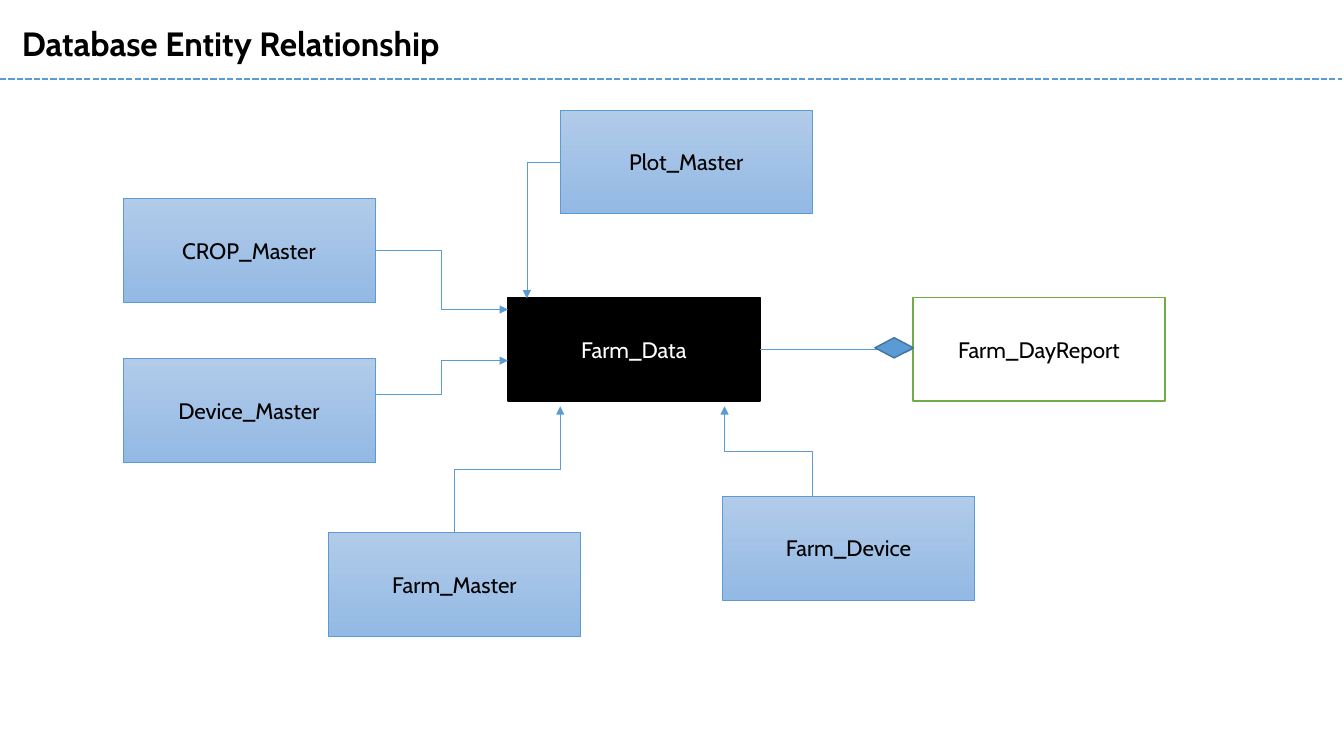
from lxml import etree
from pptx import Presentation
from pptx.dml.color import RGBColor
from pptx.enum.dml import MSO_LINE
from pptx.enum.shapes import MSO_CONNECTOR, MSO_SHAPE
from pptx.enum.text import MSO_ANCHOR, MSO_AUTO_SIZE, PP_ALIGN
from pptx.oxml.ns import qn
from pptx.util import Cm, Pt

STRAIGHT, ELBOW = MSO_CONNECTOR.STRAIGHT, MSO_CONNECTOR.ELBOW
RECTANGLE, DIAMOND = MSO_SHAPE.RECTANGLE, MSO_SHAPE.DIAMOND
MIDDLE, CENTER = MSO_ANCHOR.MIDDLE, PP_ALIGN.CENTER
GROW, DASHED = MSO_AUTO_SIZE.SHAPE_TO_FIT_TEXT, MSO_LINE.SQUARE_DOT

COLORS = {
    "black": "000000",
    "white": "FFFFFF",
    "blue": "5B9BD5",
    "dark_blue": "43739E",
    "green": "70AD47",
    "pale_top": "B1CBE9",
    "pale_bottom": "93B9E4",
}
ENTITY_WIDTH, ENTITY_HEIGHT = 6.35, 2.62
ENTITY_FONT = {"name": "Cabin", "size": Pt(16)}
TITLE_FONT = {"name": "Cabin", "size": Pt(24), "bold": True}

MASTER_STYLE = (("pale_top", "pale_bottom"), "blue", 0.5, "black")
DATA_STYLE = (("black",), "black", 1, "white")
REPORT_STYLE = (("white",), "green", 1, "black")

ENTITIES = [
    ("CROP_Master", 3.1, 5, MASTER_STYLE),
    ("Device_Master", 3.1, 9.04, MASTER_STYLE),
    ("Farm_Data", 12.8, 7.49, DATA_STYLE),
    ("Farm_Master", 8.28, 13.41, MASTER_STYLE),
    ("Farm_Device", 18.21, 12.5, MASTER_STYLE),
    ("Farm_DayReport", 23.01, 7.49, REPORT_STYLE),
    ("Plot_Master", 14.12, 2.77, MASTER_STYLE),
]
SIDE_LINKS = [
    ((9.45, 6.31), (12.8, 7.8)),
    ((9.45, 9.93), (12.8, 9.09)),
]
UPWARD_LINKS = [
    ((11.46, 13.41), (14.12, 10.24)),
    ((20.47, 12.5), (18.26, 10.24)),
]


def rgb(color):
    return RGBColor.from_string(COLORS[color])


def write(frame, text, font_values, color):
    run = frame.paragraphs[0].add_run()
    run.text = text
    for attribute, value in font_values.items():
        setattr(run.font, attribute, value)
    run.font.color.rgb = rgb(color)


def add_block(slide, kind, box, fills, outline, weight):
    block = slide.shapes.add_shape(kind, *map(Cm, box))
    block.shadow.inherit = False
    if len(fills) == 1:
        block.fill.solid()
        block.fill.fore_color.rgb = rgb(fills[0])
    else:
        block.fill.gradient()
        block.fill.gradient_angle = 270
        for stop, color in zip(block.fill.gradient_stops, fills):
            stop.color.rgb = rgb(color)
    block.line.color.rgb = rgb(outline)
    block.line.width = Pt(weight)
    return block


def add_entity(slide, name, left, top, style):
    fills, outline, weight, text_color = style
    box = (left, top, ENTITY_WIDTH, ENTITY_HEIGHT)
    entity = add_block(slide, RECTANGLE, box, fills, outline, weight)
    entity.text_frame.vertical_anchor = MIDDLE
    write(entity.text_frame, name, ENTITY_FONT, text_color)
    entity.text_frame.paragraphs[0].alignment = CENTER


def add_line(slide, kind, start, end, weight=0.5):
    line = slide.shapes.add_connector(kind, *map(Cm, start + end))
    line.line.color.rgb = rgb("blue")
    line.line.width = Pt(weight)
    etree.SubElement(line._element.spPr, qn("a:effectLst"))
    return line


def add_arrow(slide, kind, start, end):
    arrow = add_line(slide, kind, start, end)
    outline = arrow._element.spPr.find(qn("a:ln"))
    etree.SubElement(outline, qn("a:tailEnd"), type="triangle")
    return arrow


def add_corner_arrow(slide, start, end):
    arrow = add_arrow(slide, ELBOW, start, end)
    arrow._element.spPr.find(qn("a:prstGeom")).set("prst", "bentConnector2")


def add_upward_arrow(slide, start, end):
    (x1, y1), (x2, y2) = start, end
    middle_x, middle_y = (x1 + x2) / 2, (y1 + y2) / 2
    half_rise, half_shift = (y1 - y2) / 2, (x2 - x1) / 2
    arrow = add_arrow(
        slide,
        ELBOW,
        (middle_x - half_rise, middle_y - half_shift),
        (middle_x + half_rise, middle_y + half_shift),
    )
    arrow._element.spPr.find(qn("a:xfrm")).set("rot", str(270 * 60000))


def add_title(slide, text):
    title = slide.shapes.add_textbox(Cm(0.3), Cm(0.46), Cm(17.55), Cm(1.27))
    title.text_frame.word_wrap = True
    title.text_frame.auto_size = GROW
    write(title.text_frame, text, TITLE_FONT, "black")
    rule = add_line(slide, STRAIGHT, (0, 1.98), (33.81, 1.98), 1.5)
    rule.line.dash_style = DASHED


def main():
    deck = Presentation()
    deck.slide_width, deck.slide_height = Cm(33.87), Cm(19.05)
    slide = deck.slides.add_slide(deck.slide_layouts[6])
    for entity in ENTITIES:
        add_entity(slide, *entity)
    add_corner_arrow(slide, (14.12, 4.09), (13.28, 7.52))
    for start, end in SIDE_LINKS:
        add_arrow(slide, ELBOW, start, end)
    for start, end in UPWARD_LINKS:
        add_upward_arrow(slide, start, end)
    add_arrow(slide, STRAIGHT, (19.15, 8.8), (23.01, 8.8))
    add_block(slide, DIAMOND, (22.05, 8.51, 0.97, 0.51), ("blue",), "dark_blue", 1)
    add_title(slide, "Database Entity Relationship")
    deck.save("out.pptx")


if __name__ == "__main__":
    main()
